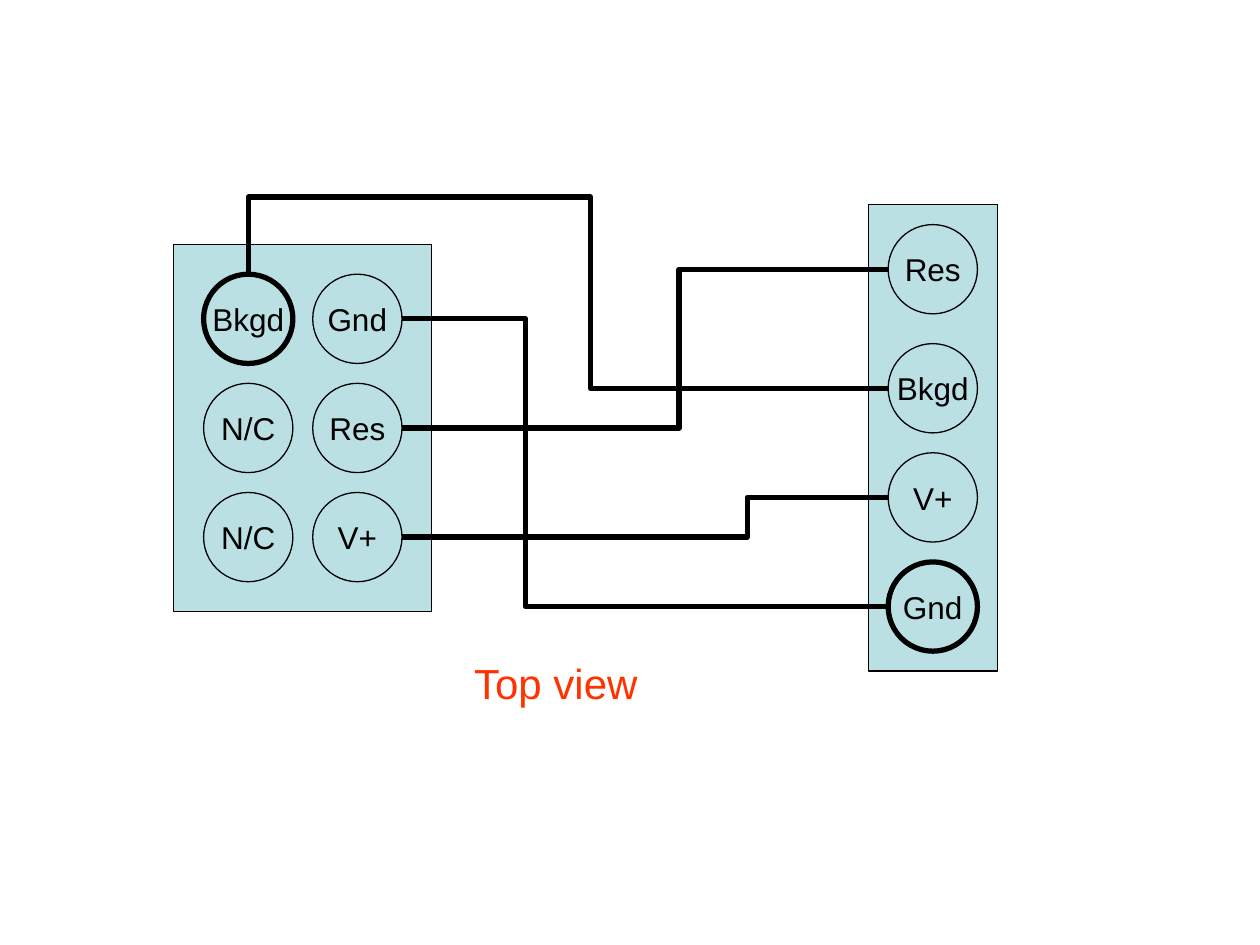
from lxml.etree import SubElement
from pptx import Presentation
from pptx.dml.color import RGBColor
from pptx.enum.shapes import MSO_CONNECTOR as Wire, MSO_SHAPE as Shape
from pptx.enum.text import MSO_ANCHOR as Anchor, PP_ALIGN as Align
from pptx.oxml.ns import qn
from pptx.util import Inches, Mm, Pt

COLORS = {"body": "BBE0E3", "ink": "000000", "caption": "FF3300"}
THIN, THICK = 0.75, 3
PIN, PITCH = 9, 11  # pin diameter and pin spacing, in 2 mm grid steps


def grid(column, row):
    """Slide position of a grid point, counted from the left header's corner."""
    return Inches(1.38) + Mm(2 * column), Inches(1.94) + Mm(2 * row)


def add_part(kind, column, row, width, height, line_width=THIN):
    part = slide.shapes.add_shape(kind, *grid(column, row), Mm(2 * width), Mm(2 * height))
    part.shadow.inherit = False
    part.fill.solid()
    part.fill.fore_color.rgb = RGBColor.from_string(COLORS["body"])
    part.line.color.rgb = RGBColor.from_string(COLORS["ink"])
    part.line.width = Pt(line_width)
    return part


prs = Presentation()
prs.slide_width, prs.slide_height = Inches(10), Inches(7.5)
slide = prs.slides.add_slide(prs.slide_layouts[6])

# Each header: column, row, width, height, and its pins as (label, column, row)
left_labels = [["Bkgd", "Gnd"], ["N/C", "Res"], ["N/C", "V+"]]
left_pins = [(label, 3 + PITCH * c, 3 + PITCH * r)
             for r, labels in enumerate(left_labels) for c, label in enumerate(labels)]
right_pins = [("Res", 72, -2)] + [
    (label, 72, 10 + PITCH * r) for r, label in enumerate(["Bkgd", "V+", "Gnd"])]
headers = [((0, 0, 26, 37), left_pins), ((70, -4, 13, 47), right_pins)]
first_pins = [left_pins[0], right_pins[-1]]
label_font = {"name": "Arial", "size": Pt(18)}

for header, pins in headers:
    add_part(Shape.RECTANGLE, *header)
    for pin in pins:
        label, column, row = pin
        socket = add_part(Shape.OVAL, column, row, PIN, PIN, THICK if pin in first_pins else THIN)
        frame = socket.text_frame
        frame.word_wrap = False
        frame.vertical_anchor = Anchor.MIDDLE
        paragraph = frame.paragraphs[0]
        paragraph.alignment = Align.CENTER
        run = paragraph.add_run()
        run.text = label
        for key, value in label_font.items():
            setattr(run.font, key, value)
        run.font.color.rgb = RGBColor.from_string(COLORS["ink"])

# Wires: start, end, bend positions as shares of the wire's box
wires = [
    ((23, 18.5), (72, 2.5), [0.57]),            # Res
    ((7.5, 2.75), (72, 14.5), [-0.64, 0.535]),  # Bkgd, leaves upwards
    ((23, 7.5), (71.75, 36.5), [0.255]),        # Gnd
    ((23, 29.5), (72, 25.5), [0.71]),           # V+
]
for start, end, bends in wires:
    upward = len(bends) == 2
    if upward:  # the box lies on its side about the same centre
        mid_x, mid_y = (start[0] + end[0]) / 2, (start[1] + end[1]) / 2
        half_w, half_h = (end[1] - start[1]) / 2, (end[0] - start[0]) / 2
        start, end = (mid_x + half_w, mid_y - half_h), (mid_x - half_w, mid_y + half_h)
    wire = slide.shapes.add_connector(Wire.ELBOW, *grid(*start), *grid(*end))
    wire.line.color.rgb = RGBColor.from_string(COLORS["ink"])
    wire.line.width = Pt(THICK)
    properties = wire._element.spPr
    SubElement(properties, qn("a:effectLst"))
    geometry = properties.find(qn("a:prstGeom"))
    if upward:
        properties.find(qn("a:xfrm")).set("rot", str(270 * 60000))
        geometry.set("prst", "bentConnector4")
    guides = geometry.find(qn("a:avLst"))
    for number, share in enumerate(bends, 1):
        SubElement(guides, qn("a:gd"), name=f"adj{number}", fmla=f"val {round(share * 100000)}")

caption = slide.shapes.add_textbox(*grid(7, 41), Mm(2 * 63), Inches(0.5)).text_frame
caption.word_wrap = True
paragraph = caption.paragraphs[0]
paragraph.alignment = Align.CENTER
paragraph.space_before = Pt(15)
run = paragraph.add_run()
run.text = "Top view"
for key, value in {"name": "Arial", "size": Pt(24)}.items():
    setattr(run.font, key, value)
run.font.color.rgb = RGBColor.from_string(COLORS["caption"])

prs.save("out.pptx")
